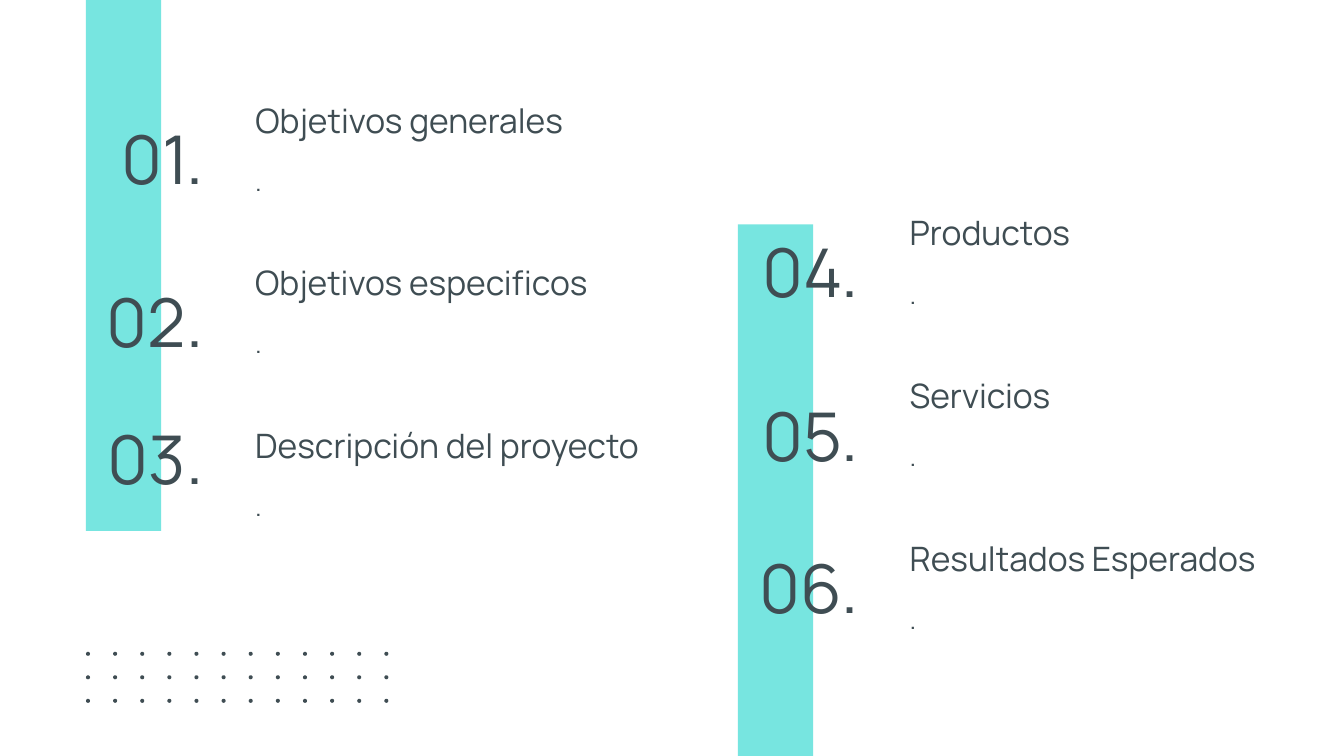
from itertools import product

from pptx import Presentation
from pptx.dml.color import RGBColor
from pptx.enum.shapes import MSO_SHAPE as Shape
from pptx.enum.text import MSO_ANCHOR as Anchor, MSO_AUTO_SIZE as Fit, PP_ALIGN as Align
from pptx.util import Inches, Pt

INK, MINT = "3F4D53", "77E5E0"
WIDE = 10
HIGH = WIDE * 9 / 16
STEP = 1.21
FORMS = {
    "number": {"size": 36, "anchor": Anchor.MIDDLE, "align": Align.RIGHT},
    "head": {"size": 18, "anchor": Anchor.BOTTOM, "align": Align.LEFT},
    "note": {"size": 14, "anchor": Anchor.MIDDLE, "align": Align.LEFT},
}
LEFT = [
    ("01.", "Objetivos generales", 0.19, 3.07),
    ("02.", "Objetivos especificos", 0.19, 3.07),
    ("03.", "Descripción del proyecto", 0, 3.62),
]
RIGHT = [
    ("04.", "Productos", 0.19, 3.07),
    ("05.", "Servicios", 0.2, 3.07),
    ("06.", "Resultados Esperados", 0.12, 3.07),
]


def color(code):
    return RGBColor.from_string(code)


def place(shape, box):
    for name, value in zip(("left", "top", "width", "height"), box):
        setattr(shape, name, Inches(value))


def paint(shapes, kind, box, code):
    shape = shapes.add_shape(kind, *map(Inches, box))
    shape.shadow.inherit = False
    shape.fill.solid()
    shape.fill.fore_color.rgb = color(code)
    shape.line.fill.background()


def write(slide, text, box, form, holder=None):
    shape = holder or slide.shapes.add_textbox(0, 0, 0, 0)
    place(shape, box)
    form = FORMS[form]
    frame = shape.text_frame
    frame.text = text
    pad = Inches(0.1)
    looks = {
        "word_wrap": True, "auto_size": Fit.NONE, "vertical_anchor": form["anchor"],
        "margin_left": pad, "margin_right": pad, "margin_top": pad, "margin_bottom": pad,
    }
    for name, value in looks.items():
        setattr(frame, name, value)
    line = frame.paragraphs[0]
    line.alignment = form["align"]
    line.line_spacing = 1
    font = line.runs[0].font
    for name, value in {"name": "Manrope", "size": Pt(form["size"])}.items():
        setattr(font, name, value)
    font.color.rgb = color(INK)


def column(slide, box, lead, shift, top, items, title=None):
    x = box[0]
    paint(slide.shapes, Shape.RECTANGLE, box, MINT)
    for i, (number, head, drop, width) in enumerate(items):
        y = top + i * STEP
        write(slide, number, (x - lead, y + drop, 1.44, 0.59), "number")
        write(slide, head, (x + shift, y, width, 0.45), "head", title if i == 0 else None)
        write(slide, ".", (x + shift, y + 0.36, 2.7, 0.59), "note")


def dots(slide, box, cols, rows, size):
    x, y, width, height = box
    group = slide.shapes.add_group_shape()
    for row, col in product(range(rows), range(cols)):
        left = x + col * (width - size) / (cols - 1)
        top = y + row * (height - size) / (rows - 1)
        paint(group.shapes, Shape.OVAL, (left, top, size, size), INK)


def main():
    deck = Presentation()
    deck.slide_width, deck.slide_height = Inches(WIDE), Inches(HIGH)
    slide = deck.slides.add_slide(deck.slide_layouts[5])
    slide.background.fill.solid()
    slide.background.fill.fore_color.rgb = color("FFFFFF")
    column(slide, (0.64, 0, 0.56, 3.95), 0.47, 1.16, 0.69, LEFT, slide.shapes.title)
    column(slide, (5.49, 1.67, 0.56, HIGH - 1.67), 0.44, 1.18, 1.53, RIGHT)
    dots(slide, (0.64, 4.85, 2.25, 0.38), 12, 3, 0.03)
    deck.save("out.pptx")


if __name__ == "__main__":
    main()
